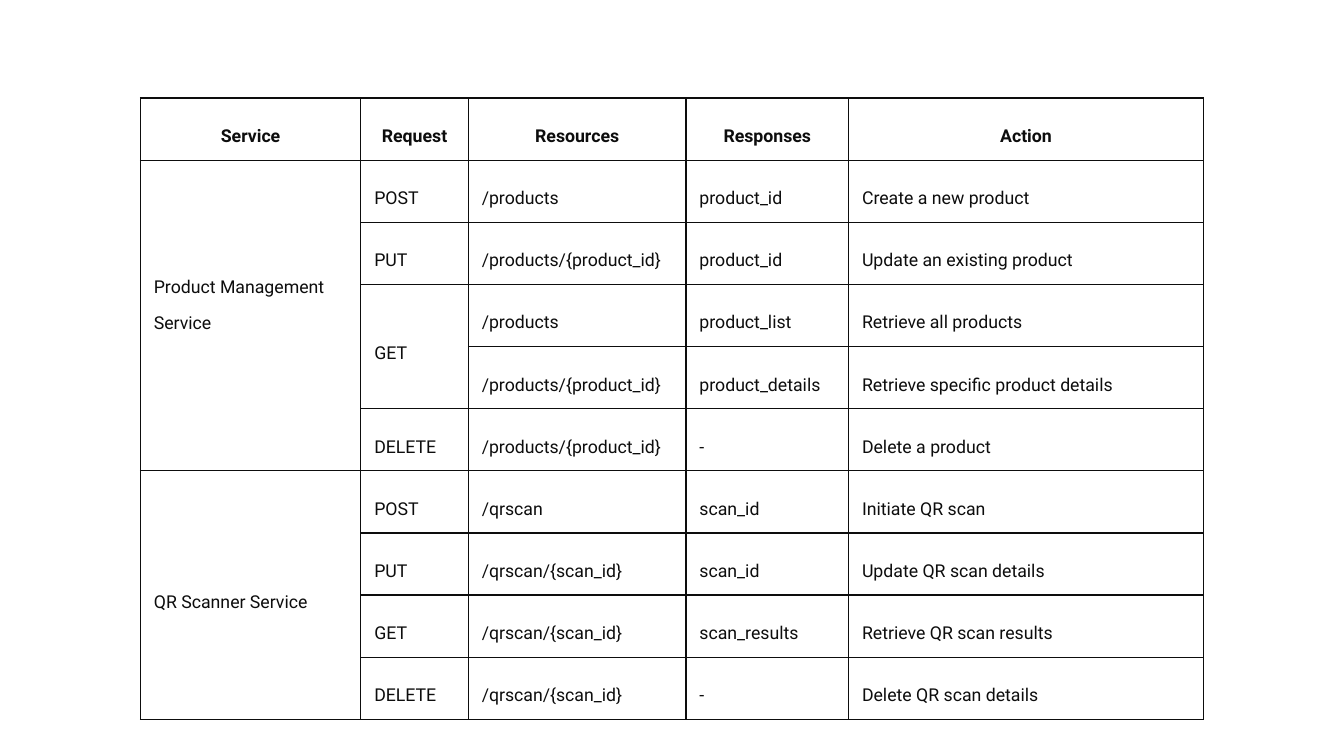
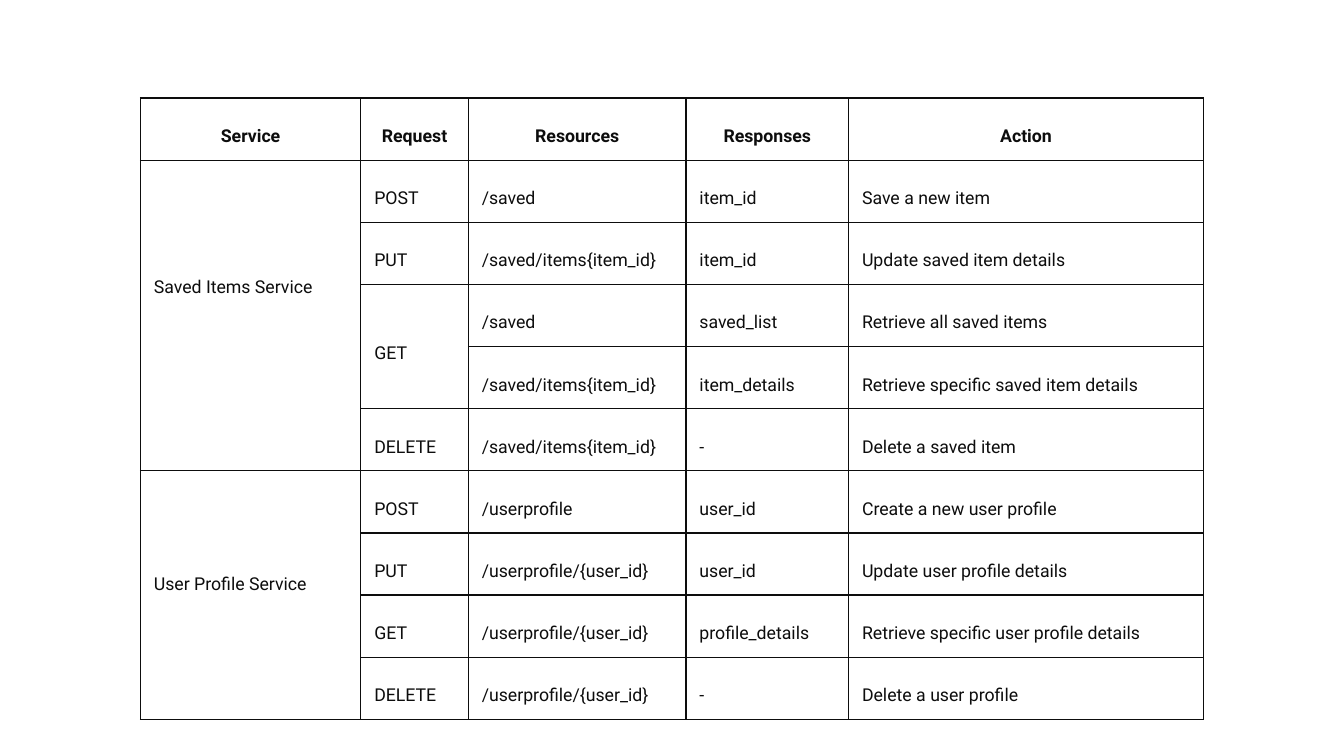
from dataclasses import dataclass
from itertools import groupby

from lxml.etree import SubElement
from pptx import Presentation
from pptx.dml.color import RGBColor
from pptx.enum.text import MSO_ANCHOR, PP_ALIGN
from pptx.oxml import parse_xml
from pptx.oxml.ns import nsdecls, qn
from pptx.util import Inches, Pt


@dataclass(frozen=True)
class Theme:
    ink: str = "0D0D0D"
    paper: str = "FFFFFF"
    font: str = "Roboto"
    size: float = 9.5
    leading: float = 1.71
    inset: float = 0.1
    line: float = 0.75


@dataclass(frozen=True)
class Call:
    verb: str
    route: str
    reply: str
    action: str


@dataclass(frozen=True)
class Service:
    name: str
    calls: tuple[Call, ...]
    lift: float = 0  # extra bottom inset that raises the name


THEME = Theme()
WIDTH = Inches(10)
HEIGHT = WIDTH * 9 // 16
TOP = 0.73
COLS = (1.64, 0.8, 1.62, 1.21, 2.64)
ROW = 0.42
HEADS = ("Service", "Request", "Resources", "Responses", "Action")

# One tuple of services per slide
PAGES = (
    (
        Service("Product Management Service", (
            Call("POST", "/products", "product_id", "Create a new product"),
            Call("PUT", "/products/{product_id}", "product_id", "Update an existing product"),
            Call("GET", "/products", "product_list", "Retrieve all products"),
            Call("GET", "/products/{product_id}", "product_details",
                 "Retrieve specific product details"),
            Call("DELETE", "/products/{product_id}", "-", "Delete a product"),
        ), lift=0.26),
        Service("QR Scanner Service", (
            Call("POST", "/qrscan", "scan_id", "Initiate QR scan"),
            Call("PUT", "/qrscan/{scan_id}", "scan_id", "Update QR scan details"),
            Call("GET", "/qrscan/{scan_id}", "scan_results", "Retrieve QR scan results"),
            Call("DELETE", "/qrscan/{scan_id}", "-", "Delete QR scan details"),
        )),
    ),
    (
        Service("Saved Items Service", (
            Call("POST", "/saved", "item_id", "Save a new item"),
            Call("PUT", "/saved/items{item_id}", "item_id", "Update saved item details"),
            Call("GET", "/saved", "saved_list", "Retrieve all saved items"),
            Call("GET", "/saved/items{item_id}", "item_details",
                 "Retrieve specific saved item details"),
            Call("DELETE", "/saved/items{item_id}", "-", "Delete a saved item"),
        ), lift=0.52),
        Service("User Profile Service", (
            Call("POST", "/userprofile", "user_id", "Create a new user profile"),
            Call("PUT", "/userprofile/{user_id}", "user_id", "Update user profile details"),
            Call("GET", "/userprofile/{user_id}", "profile_details",
                 "Retrieve specific user profile details"),
            Call("DELETE", "/userprofile/{user_id}", "-", "Delete a user profile"),
        ), lift=0.26),
    ),
)


def frame(cell) -> None:
    """Clear the fill and rule all four sides."""
    cell.fill.background()
    props = cell._tc.get_or_add_tcPr()
    for place, side in enumerate("LRTB"):
        props.insert(place, parse_xml(
            f'<a:ln{side} {nsdecls("a")} w="{Pt(THEME.line)}"><a:solidFill>'
            f'<a:srgbClr val="{THEME.ink}"/></a:solidFill></a:ln{side}>'))


def write(cell, text: str, head: bool = False, lift: float = 0) -> None:
    """Set and format the text of one cell."""
    cell.margin_left = cell.margin_right = cell.margin_top = Inches(THEME.inset)
    cell.margin_bottom = Inches(THEME.inset + lift)
    cell.vertical_anchor = MSO_ANCHOR.BOTTOM if head else MSO_ANCHOR.MIDDLE
    para = cell.text_frame.paragraphs[0]
    para.text = text
    para.alignment = PP_ALIGN.CENTER if head else PP_ALIGN.LEFT
    para.line_spacing = THEME.leading
    run = para.runs[0]
    font = run.font
    font.size = Pt(THEME.size)
    font.bold = head
    font.color.rgb = RGBColor.from_string(THEME.ink)
    # Highlight sits between the colour and the typeface
    mark = SubElement(run._r.get_or_add_rPr(), qn("a:highlight"))
    SubElement(mark, qn("a:srgbClr")).set("val", THEME.paper)
    font.name = THEME.font


def span(table, col: int, first: int, count: int):
    """Return the cell that covers count rows of a column."""
    cell = table.cell(first, col)
    if count > 1:
        cell.merge(table.cell(first + count - 1, col))
    return cell


def fill(table, first: int, item: Service) -> None:
    """Write the rows of one service."""
    write(span(table, 0, first, len(item.calls)), item.name, lift=item.lift)
    row = first
    for verb, group in groupby(item.calls, key=lambda call: call.verb):
        calls = list(group)
        write(span(table, 1, row, len(calls)), verb)
        for call in calls:
            for col, text in enumerate((call.route, call.reply, call.action), 2):
                write(table.cell(row, col), text)
            row += 1


def draw(deck, items: tuple[Service, ...]) -> None:
    """Add a slide with the table of its services."""
    slide = deck.slides.add_slide(deck.slide_layouts[6])
    back = slide.background.fill
    back.solid()
    back.fore_color.rgb = RGBColor.from_string(THEME.paper)

    # Table grid, centred across the slide
    count = 1 + sum(len(item.calls) for item in items)
    wide = Inches(sum(COLS))
    table = slide.shapes.add_table(
        count, len(COLS), (WIDTH - wide) // 2, Inches(TOP),
        wide, Inches(ROW * count)).table
    table.first_row = table.horz_banding = False
    for col, width in zip(table.columns, COLS):
        col.width = Inches(width)
    for row in table.rows:
        row.height = Inches(ROW)
    for cell in table.iter_cells():
        frame(cell)

    # Header and services
    for col, text in enumerate(HEADS):
        write(table.cell(0, col), text, head=True)
    first = 1
    for item in items:
        fill(table, first, item)
        first += len(item.calls)


def main() -> None:
    deck = Presentation()
    deck.slide_width, deck.slide_height = WIDTH, HEIGHT
    for items in PAGES:
        draw(deck, items)
    deck.save("out.pptx")


if __name__ == "__main__":
    main()
